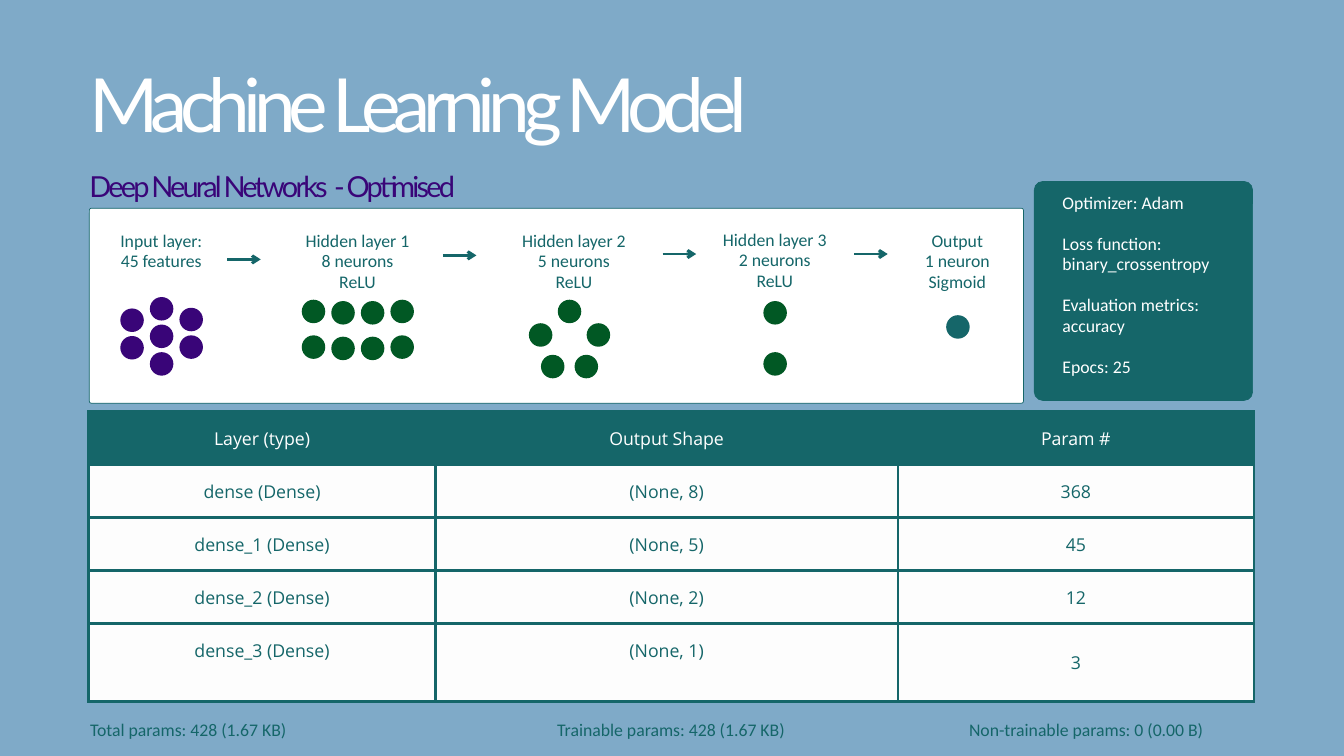
"""Build the slide that describes the layers and parameters of a deep neural network."""
from lxml import etree
from pptx import Presentation
from pptx import util as u
from pptx.dml.color import RGBColor
from pptx.enum import shapes, text
from pptx.oxml import ns

COLORS = {
    "sky": "7FAAC8",
    "teal": "156669",
    "white": "FFFFFF",
    "cell": "FDFDFD",
    "purple": "390578",
    "green": "015824",
}
RGB = {name: RGBColor.from_string(value) for name, value in COLORS.items()}
ALIGN = text.PP_ALIGN

deck = Presentation()
deck.slide_width, deck.slide_height = u.Inches(20), u.Inches(11.25)
column, row = deck.slide_width / 20, deck.slide_height / 11.25
page = deck.slides.add_slide(deck.slide_layouts[6])
page.background.fill.solid()
page.background.fill.fore_color.rgb = RGB["sky"]


def place(left, top, width, height):
    return [round(n) for n in (left * column, top * row, width * column, height * row)]


def write(frame, words, size=19, font="Calibri", color="teal", align=ALIGN.CENTER,
          leading=22, before=0, tracking=0, add=False):
    frame.word_wrap = True
    for index, line in enumerate(words.split("\n")):
        para = frame.add_paragraph() if add or index else frame.paragraphs[0]
        para.alignment = align
        para.line_spacing = u.Pt(leading)
        para.space_before = u.Pt(before if add or index else 0)
        span = para.add_run()
        span.text = line
        span.font.size = u.Pt(size)
        span.font.name = font
        span.font.color.rgb = RGB[color]
        if tracking:
            span.font._element.set("spc", str(round(tracking * 100)))


panels = [((1.33, 3.1, 13.9, 2.9), "white", 0.01), ((15.39, 2.7, 3.25, 3.26), "teal", 0.04)]
for spot, color, corner in panels:
    panel = page.shapes.add_shape(shapes.MSO_SHAPE.ROUNDED_RECTANGLE, *place(*spot))
    panel.adjustments[0] = corner
    panel.shadow.inherit = False
    panel.fill.solid()
    panel.fill.fore_color.rgb = RGB[color]
    panel.line.color.rgb = RGB["teal"]
    panel.line.width = u.Pt(0.75)

rows = [
    ("Layer (type)", "Output Shape", "Param #"),
    ("dense (Dense)", "(None, 8)", "368"),
    ("dense_1 (Dense)", "(None, 5)", "45"),
    ("dense_2 (Dense)", "(None, 2)", "12"),
    ("dense_3 (Dense)", "(None, 1)", "3"),
]
widths = (5.16, 6.88, 5.3)
heights = (0.79, 0.79, 0.79, 0.79, 1.16)
table = page.shapes.add_table(
    len(rows), len(widths), *place(1.32, 6.12, sum(widths), sum(heights))).table
for index, width in enumerate(widths):
    table.columns[index].width = round(width * column)
for r, (height, values) in enumerate(zip(heights, rows)):
    table.rows[r].height = round(height * row)
    for c, value in enumerate(values):
        cell = table.cell(r, c)
        cell.margin_left = cell.margin_right = round(0.21 * column)
        cell.margin_top = cell.margin_bottom = round(0.21 * row)
        raised = r == len(rows) - 1 and c < 2
        cell.vertical_anchor = text.MSO_ANCHOR.TOP if raised else text.MSO_ANCHOR.MIDDLE
        for side in ("lnL", "lnR", "lnT", "lnB"):
            border = etree.SubElement(
                cell._tc.get_or_add_tcPr(), ns.qn(f"a:{side}"), w=str(u.Pt(3)))
            paint = etree.SubElement(border, ns.qn("a:solidFill"))
            etree.SubElement(paint, ns.qn("a:srgbClr"), val=COLORS["teal"])
        cell.fill.solid()
        cell.fill.fore_color.rgb = RGB["cell" if r else "teal"]
        write(cell.text_frame, value, font="Open Sans", leading=26.6,
              color="teal" if r else "white")

labels = [
    ((1.33, 1.64, 15.55, 1.23), "Machine Learning Model",
     dict(size=80, font="Lato", color="white", align=ALIGN.LEFT, leading=40, tracking=-7.7)),
    ((15.81, 2.86, 2.61, 2.78),
     "Optimizer: Adam\nLoss function: binary_crossentropy\n"
     "Evaluation metrics: accuracy\nEpocs: 25",
     dict(color="white", align=ALIGN.LEFT, before=22)),
    ((1.33, 3.43, 2.14, 0.67), "Input layer:\n45 features", {}),
    ((3.75, 3.43, 3.14, 0.97), "Hidden layer 1\n8 neurons\nReLU", {}),
    ((6.97, 3.43, 3.14, 0.97), "Hidden layer 2\n5 neurons\nReLU", {}),
    ((9.96, 3.41, 3.14, 0.97), "Hidden layer 3\n2 neurons\nReLU", {}),
    ((13.46, 3.43, 1.57, 0.97), "Output\n1 neuron\nSigmoid", {}),
    ((1.34, 10.71, 5.41, 0.31), "Total params: 428 (1.67 KB)", dict(align=ALIGN.JUSTIFY)),
    ((7.28, 10.71, 5.41, 0.31), "Trainable params: 428 (1.67 KB)", {}),
    ((14.42, 10.71, 4.11, 0.36), "Non-trainable params: 0 (0.00 B)",
     dict(align=ALIGN.JUSTIFY)),
]
frames = []
for spot, words, style in labels:
    frame = page.shapes.add_textbox(*place(*spot)).text_frame
    frame.margin_left = frame.margin_right = frame.margin_top = frame.margin_bottom = 0
    write(frame, words, **style)
    frames.append(frame)
write(frames[0], "Deep Neural Networks  - Optimised", size=31, font="Lato", color="purple",
      align=ALIGN.JUSTIFY, leading=29.8, before=29.8, tracking=-3, add=True)

layers = [
    ("purple", [(1.79 + 0.44 * c, top + 0.41 * r)
                for c, (top, count) in enumerate([(4.59, 2), (4.42, 3), (4.58, 2)])
                for r in range(count)]),
    ("green", [(4.49 + 0.44 * c, top + 0.53 * r)
               for c, top in enumerate([4.46, 4.48, 4.48, 4.46]) for r in range(2)]),
    ("green", [(8.3, 4.46), (7.87, 4.81), (8.73, 4.81), (8.05, 5.28), (8.55, 5.28)]),
    ("green", [(11.36, 4.48), (11.36, 5.24)]),
    ("teal", [(14.08, 4.69)]),
]
for color, neurons in layers:
    for left, top in neurons:
        neuron = page.shapes.add_shape(
            shapes.MSO_SHAPE.OVAL, *place(left, top, 0.35, 0.35))
        neuron.shadow.inherit = False
        neuron.fill.solid()
        neuron.fill.fore_color.rgb = RGB[color]
        neuron.line.fill.background()

for left, level in [(3.38, 3.86), (6.59, 3.8), (9.86, 3.78), (12.71, 3.78)]:
    start, height, length, _ = place(left, level, 0.5, 0)
    arrow = page.shapes.add_connector(
        shapes.MSO_CONNECTOR.STRAIGHT, start, height, start + length, height)
    arrow.line.color.rgb = RGB["teal"]
    arrow.line.width = u.Pt(3)
    etree.SubElement(arrow.line._get_or_add_ln(), ns.qn("a:tailEnd"), type="arrow")
    etree.SubElement(arrow._element.spPr, ns.qn("a:effectLst"))

deck.save("out.pptx")
